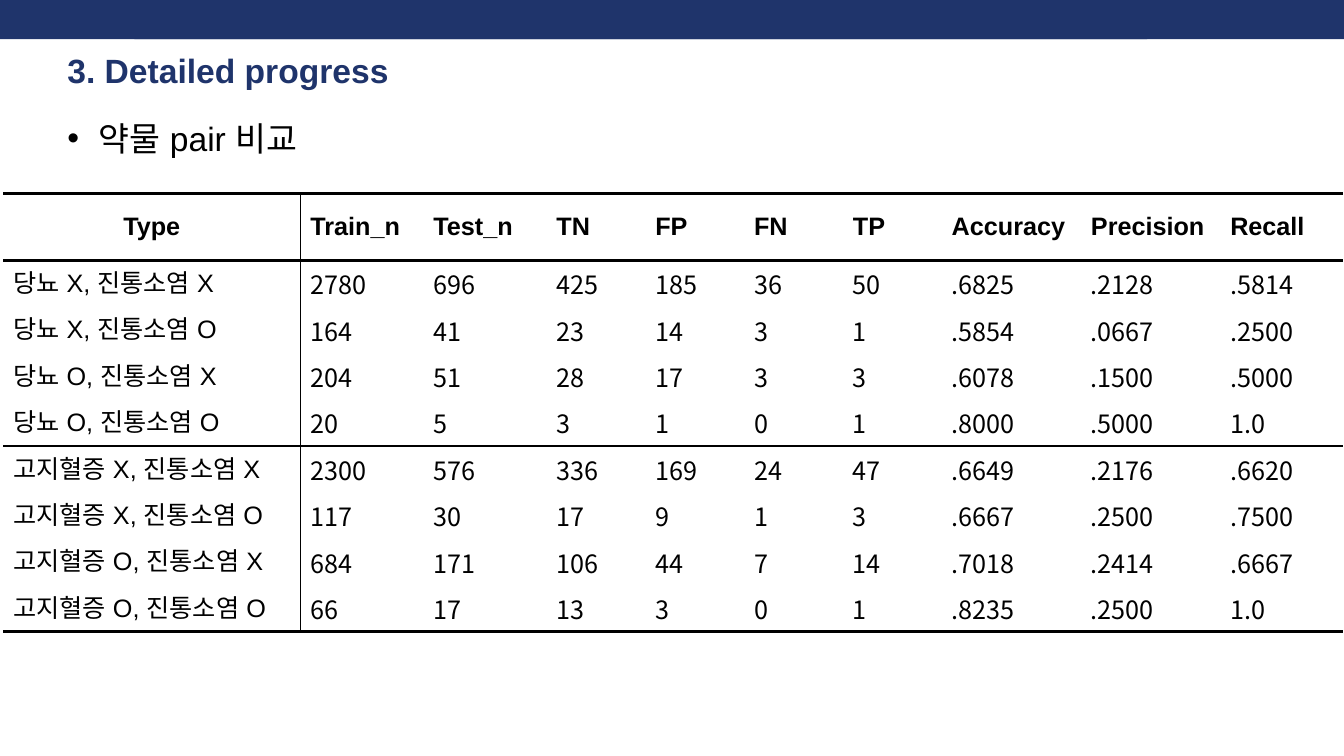
from lxml.etree import SubElement
from pptx import Presentation
from pptx.dml.color import RGBColor
from pptx.enum.shapes import MSO_SHAPE
from pptx.enum.text import MSO_ANCHOR, PP_ALIGN
from pptx.oxml.ns import qn
from pptx.util import Cm, Pt

NAVY = "1F346B"
BLACK = "000000"
THICK, THIN = 2.25, 1

HEADINGS = ["Type", "Train_n", "Test_n", "TN", "FP", "FN", "TP", "Accuracy", "Precision", "Recall"]
RESULTS = [
    ["당뇨 X, 진통소염 X", "2780", "696", "425", "185", "36", "50", ".6825", ".2128", ".5814"],
    ["당뇨 X, 진통소염 O", "164", "41", "23", "14", "3", "1", ".5854", ".0667", ".2500"],
    ["당뇨 O, 진통소염 X", "204", "51", "28", "17", "3", "3", ".6078", ".1500", ".5000"],
    ["당뇨 O, 진통소염 O", "20", "5", "3", "1", "0", "1", ".8000", ".5000", "1.0"],
    ["고지혈증 X, 진통소염 X", "2300", "576", "336", "169", "24", "47", ".6649", ".2176", ".6620"],
    ["고지혈증 X, 진통소염 O", "117", "30", "17", "9", "1", "3", ".6667", ".2500", ".7500"],
    ["고지혈증 O, 진통소염 X", "684", "171", "106", "44", "7", "14", ".7018", ".2414", ".6667"],
    ["고지혈증 O, 진통소염 O", "66", "17", "13", "3", "0", "1", ".8235", ".2500", "1.0"],
]
COLUMN_WIDTHS = [7.49, 3.1, 3.1] + [2.49] * 4 + [3.51, 3.51, 3.1]
ROW_HEIGHTS = [1.68] + [1.17] * len(RESULTS)
RULES = {0: THICK, 1: THICK, 5: THIN, 9: THICK}


def color(value):
    return RGBColor.from_string(value)


class SlideBuilder:
    text_font = "Arial"
    number_font = "Noto Sans CJK KR"

    def __init__(self, slide):
        self.slide = slide

    def add_run(self, paragraph, text, size, font, fill=BLACK, bold=False):
        run = paragraph.add_run()
        run.text = text
        run.font.size = Pt(size)
        run.font.name = font
        run.font.bold = bold
        run.font.color.rgb = color(fill)
        east_asian = SubElement(run.font._element, qn("a:ea"))
        east_asian.set("typeface", font)

    def add_band(self, left, width):
        band = self.slide.shapes.add_shape(MSO_SHAPE.RECTANGLE, Cm(left), 0, Cm(width), Cm(0.99))
        band.shadow.inherit = False
        band.fill.solid()
        band.fill.fore_color.rgb = color(NAVY)
        band.line.fill.background()

    def add_text(self, text, left, top, width, height, fill=BLACK, bold=False, bullet=None):
        box = self.slide.shapes.add_textbox(Cm(left), Cm(top), Cm(width), Cm(height))
        frame = box.text_frame
        frame.word_wrap = True
        frame.margin_left = frame.margin_right = frame.margin_top = frame.margin_bottom = 0
        paragraph = frame.paragraphs[0]
        if bullet:
            properties = paragraph._p.get_or_add_pPr()
            properties.set("marL", str(Cm(0.79)))
            properties.set("indent", str(-Cm(0.79)))
            SubElement(properties, qn("a:buFont")).set("typeface", self.text_font)
            SubElement(properties, qn("a:buChar")).set("char", bullet)
        self.add_run(paragraph, text, 24, self.text_font, fill, bold)

    def set_borders(self, cell, borders):
        properties = cell._tc.get_or_add_tcPr()
        for side in "LRTB":
            width = borders.get(side)
            line = SubElement(properties, qn(f"a:ln{side}"))
            line.set("w", str(Pt(width or 0)))
            if width:
                fill = SubElement(line, qn("a:solidFill"))
                SubElement(fill, qn("a:srgbClr")).set("val", BLACK)
            else:
                SubElement(line, qn("a:noFill"))

    def add_cell(self, cell, text, row, column):
        is_heading, is_type = row == 0, column == 0
        self.set_borders(cell, {
            "L": THIN if column == 1 else None,
            "R": THIN if is_type else None,
            "T": RULES.get(row),
            "B": RULES.get(row + 1),
        })
        cell.fill.background()
        uses_text_font = is_heading or is_type
        cell.vertical_anchor = MSO_ANCHOR.MIDDLE if uses_text_font else MSO_ANCHOR.BOTTOM
        paragraph = cell.text_frame.paragraphs[0]
        paragraph.alignment = PP_ALIGN.CENTER if is_heading and is_type else PP_ALIGN.LEFT
        font = self.text_font if uses_text_font else self.number_font
        self.add_run(paragraph, text, 18, font, bold=is_heading)

    def add_table(self, rows, left, top):
        frame = self.slide.shapes.add_table(
            len(rows), len(COLUMN_WIDTHS), Cm(left), Cm(top),
            Cm(sum(COLUMN_WIDTHS)), Cm(sum(ROW_HEIGHTS)))
        table = frame.table
        table.first_row = table.horz_banding = False
        for column, width in zip(table.columns, COLUMN_WIDTHS):
            column.width = Cm(width)
        for row, height in zip(table.rows, ROW_HEIGHTS):
            row.height = Cm(height)
        for row, values in enumerate(rows):
            for column, text in enumerate(values):
                self.add_cell(table.cell(row, column), text, row, column)


def main():
    presentation = Presentation()
    presentation.slide_width = Cm(33.87)
    presentation.slide_height = Cm(19.05)
    builder = SlideBuilder(presentation.slides.add_slide(presentation.slide_layouts[6]))
    builder.add_band(0, 28.91)
    builder.add_band(3.39, 30.48)
    builder.add_text("3. Detailed progress", 1.7, 1.27, 31.55, 1.07, fill=NAVY, bold=True)
    builder.add_table([HEADINGS] + RESULTS, 0.08, 4.88)
    builder.add_text("약물 pair 비교", 1.7, 2.97, 24.97, 1.02, bullet="•")
    presentation.save("out.pptx")


if __name__ == "__main__":
    main()
